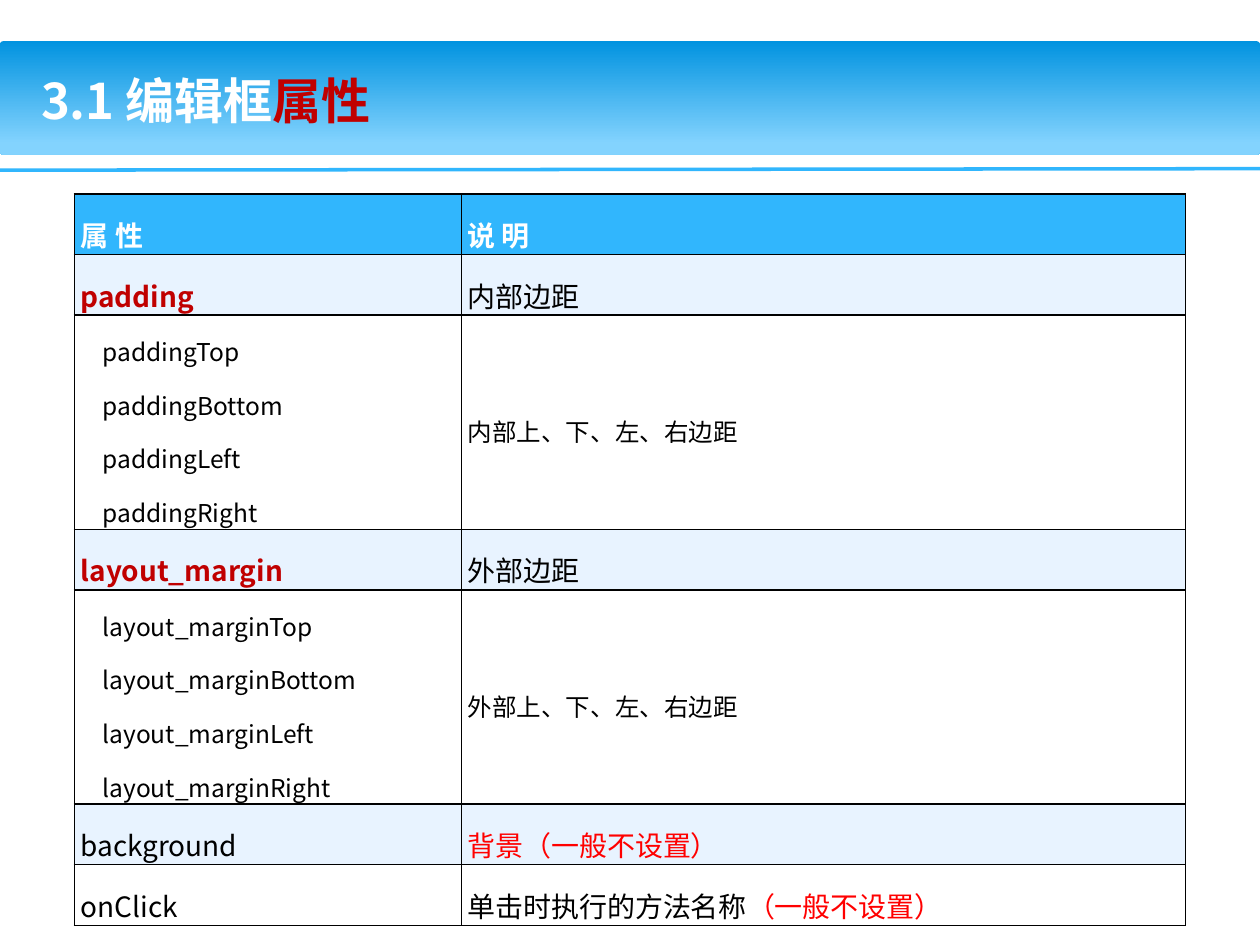
from dataclasses import dataclass

from lxml import etree
from pptx import Presentation
from pptx.dml import color as dml
from pptx.enum import shapes, text
from pptx.oxml import ns
from pptx.util import Cm, Pt

FONT = "Noto Sans CJK SC"
WHITE, BLACK, RED, DARK_RED = "FFFFFF", "000000", "FF0000", "C00000"
BLUE, PALE = "31B6FD", "E8F3FF"


@dataclass(frozen=True)
class Run:
    text: str
    size: int = 16
    color: str = BLACK
    bold: bool = False


@dataclass(frozen=True)
class Row:
    height: float
    fill: str
    names: list[Run]
    meaning: list[Run]
    indent: float = 0


def rgb(value: str) -> dml.RGBColor:
    return dml.RGBColor.from_string(value)


def write(paragraph, runs: list[Run]) -> None:
    for item in runs:
        run = paragraph.add_run()
        run.text = item.text
        formats = {"size": Pt(item.size), "bold": item.bold, "name": FONT}
        for key, value in formats.items():
            setattr(run.font, key, value)
        run.font.color.rgb = rgb(item.color)
        etree.SubElement(run.font._element, ns.qn("a:ea"), typeface=FONT)


def border(cell) -> None:
    properties = cell._tc.get_or_add_tcPr()
    for index, side in enumerate(("lnL", "lnR", "lnT", "lnB")):
        line = etree.Element(ns.qn(f"a:{side}"), w=str(Pt(1)))
        fill = etree.SubElement(line, ns.qn("a:solidFill"))
        etree.SubElement(fill, ns.qn("a:srgbClr"), val=BLACK)
        properties.insert(index, line)


def fill_cell(cell, paragraphs: list[list[Run]], fill: str, indent: float = 0) -> None:
    formats = {
        "margin_left": Cm(0.13), "margin_right": Cm(0.13),
        "margin_top": 0, "margin_bottom": 0,
        "vertical_anchor": text.MSO_ANCHOR.MIDDLE,
    }
    for key, value in formats.items():
        setattr(cell, key, value)
    cell.fill.solid()
    cell.fill.fore_color.rgb = rgb(fill)
    border(cell)
    frame = cell.text_frame
    for index, runs in enumerate(paragraphs):
        paragraph = frame.add_paragraph() if index else frame.paragraphs[0]
        paragraph.line_spacing = 1.5
        if indent:
            paragraph._p.get_or_add_pPr().set("marL", str(Cm(indent)))
        write(paragraph, runs)


def group(name: str, label: str, height: float) -> list[Row]:
    """A property row followed by the row of its four sides."""
    sides = [Run(name + side, 14) for side in ("Top", "Bottom", "Left", "Right")]
    return [
        Row(1.14, PALE, [Run(name, 16, DARK_RED, True)], [Run(f"{label}部边距")]),
        Row(height, WHITE, sides, [Run(f"{label}部上、下、左、右边距", 14)], 0.44),
    ]


NOT_SET = Run("（一般不设置）", color=RED)
ROWS = [
    Row(1.14, BLUE, [Run("属 性", 16, WHITE, True)], [Run("说 明", 16, WHITE, True)]),
    *group("padding", "内", 3.53),
    *group("layout_margin", "外", 3.66),
    Row(1.14, PALE, [Run("background")], [Run("背景" + NOT_SET.text, color=RED)]),
    Row(1.14, WHITE, [Run("onClick")], [Run("单击时执行的方法名称"), NOT_SET]),
]


def draw_banner(slide) -> None:
    banner = slide.shapes.add_shape(
        shapes.MSO_SHAPE.ROUNDED_RECTANGLE, 0, Cm(0.83), Cm(25.4), Cm(2.29))
    banner.adjustments[0] = 0.03
    banner.shadow.inherit = False
    banner.line.fill.background()
    banner.fill.gradient()
    banner.fill.gradient_angle = 270
    stops = ((0, "0293E0"), (0.9, "83D3FE"))
    for stop, (position, shade) in zip(banner.fill.gradient_stops, stops):
        stop.position = position
        stop.color.rgb = rgb(shade)

    rule = slide.shapes.add_connector(
        shapes.MSO_CONNECTOR.STRAIGHT, 0, Cm(3.43), Cm(25.4), Cm(3.4))
    rule.line.color.rgb = rgb(BLUE)
    rule.line.width = Pt(2)
    etree.SubElement(rule._element.spPr, ns.qn("a:effectLst"))


def draw_table(slide) -> None:
    table = slide.shapes.add_table(
        len(ROWS), 2, Cm(1.5), Cm(3.91), Cm(22.4), Cm(12.95)).table
    table.horz_banding = False
    for column, width in zip(table.columns, (7.8, 14.6)):
        column.width = Cm(width)
    for index, row in enumerate(ROWS):
        table.rows[index].height = Cm(row.height)
        names = [[name] for name in row.names]
        fill_cell(table.cell(index, 0), names, row.fill, row.indent)
        fill_cell(table.cell(index, 1), [row.meaning], row.fill)


def draw_title(slide) -> None:
    title = slide.shapes.add_textbox(Cm(0.58), Cm(0.91), Cm(22.35), Cm(2.21)).text_frame
    title.word_wrap = True
    title.vertical_anchor = text.MSO_ANCHOR.MIDDLE
    write(title.paragraphs[0], [
        Run("3.1 编辑框", 28, WHITE, True), Run("属性", 28, DARK_RED, True)])


def main() -> None:
    deck = Presentation()
    deck.slide_width, deck.slide_height = Cm(25.4), Cm(19.05)
    slide = deck.slides.add_slide(deck.slide_layouts[6])
    # Header band and rule
    draw_banner(slide)
    # Property table
    draw_table(slide)
    # Title over the band
    draw_title(slide)
    deck.save("out.pptx")


if __name__ == "__main__":
    main()
